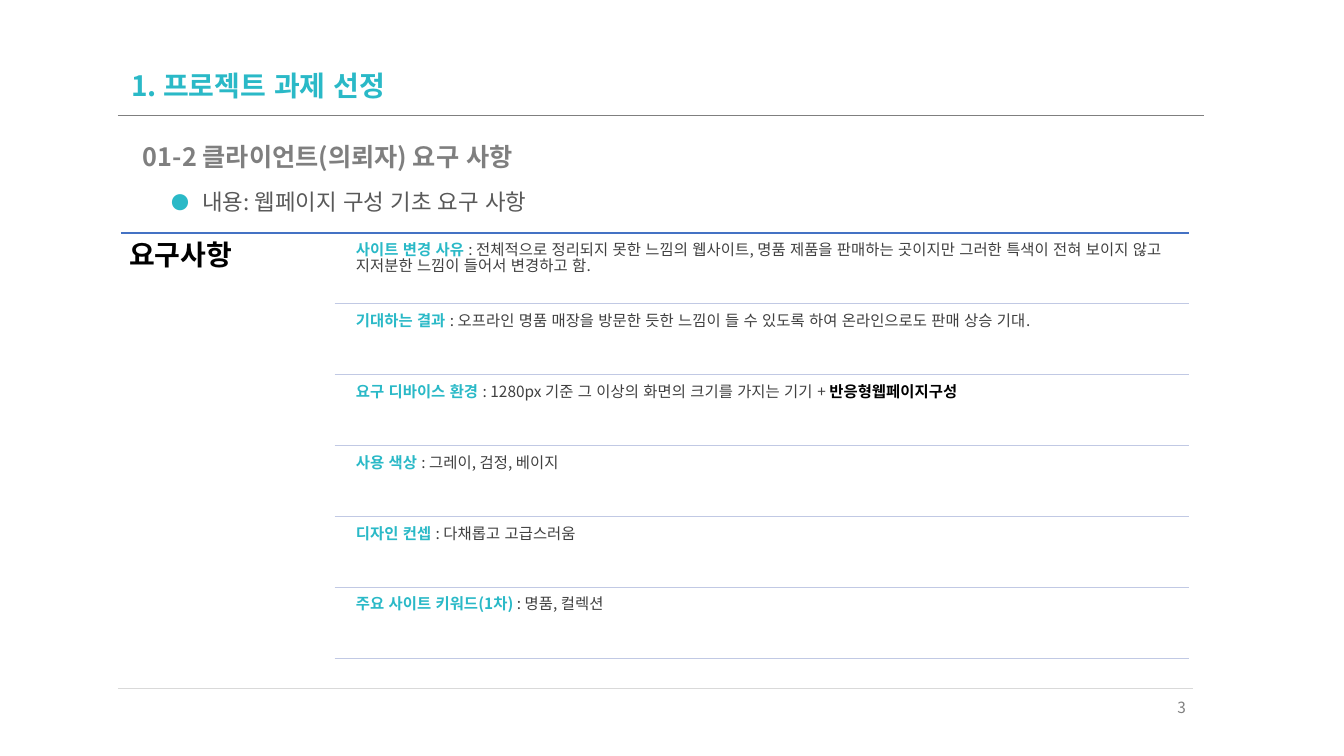
import pptx
import pptx.util
import pptx.dml.color
import pptx.enum.shapes
import pptx.enum.text
import pptx.enum.lang
import pptx.oxml.ns
from lxml import etree

FONT = "Noto Sans CJK KR"
COLORS = {"teal": "2AB9C7", "rule": "7F7F7F", "foot": "D9D9D9", "blue": "4472C4",
          "row": "C1C9E4", "gray": "7F7F7F", "body": "595959", "text": "404040",
          "black": "000000", "page": "808080"}
LEFT, LABEL_END, RIGHT = 1.2, 3.32, 11.79
TABLE_TOP, ROW_H = 2.31, 0.704
REQUIREMENTS = [
    ("사이트 변경 사유 ", ": 전체적으로 정리되지 못한 느낌의 웹사이트, 명품 제품을 판매하는 곳이지만 "
     "그러한 특색이 전혀 보이지 않고 지저분한 느낌이 들어서 변경하고 함.", ""),
    ("기대하는 결과 ", ": 오프라인 명품 매장을 방문한 듯한 느낌이 들 수 있도록 하여 "
     "온라인으로도 판매 상승 기대.", ""),
    ("요구 디바이스 환경 ", ": 1280px 기준 그 이상의 화면의 크기를 가지는 기기 + ", "반응형웹페이지구성"),
    ("사용 색상 ", ": 그레이, 검정, 베이지", ""),
    ("디자인 컨셉 ", ": 다채롭고 고급스러움", ""),
    ("주요 사이트 키워드(1차) ", ": 명품, 컬렉션", ""),
]


def color(name):
    """Return a named palette colour."""
    return pptx.dml.color.RGBColor.from_string(COLORS[name])


def add_sub(parent, tag, **attrs):
    """Append a DrawingML child element."""
    return etree.SubElement(parent, pptx.oxml.ns.qn(tag), attrs)


def add_rule(s, x1, x2, y, name, width):
    """Draw a horizontal rule."""
    c = s.shapes.add_connector(pptx.enum.shapes.MSO_CONNECTOR.STRAIGHT,
                               *map(pptx.util.Inches, (x1, y, x2, y)))
    c.line.color.rgb = color(name)
    c.line.width = pptx.util.Pt(width)
    add_sub(c._element.spPr, "a:effectLst")


def format_run(r, size, name, bold):
    """Set the font of a run for Latin and Korean text."""
    r.font.size = pptx.util.Pt(size)
    r.font.bold = bold
    r.font.color.rgb = color(name)
    r.font.name = FONT
    r.font.language_id = pptx.enum.lang.MSO_LANGUAGE_ID.KOREAN
    add_sub(r._r.get_or_add_rPr(), "a:ea", typeface=FONT)


def fill_text(sp, runs, size, inset=None, spacing=0.9):
    """Write one paragraph of (text, colour, bold) runs and return it."""
    tf = sp.text_frame
    tf.word_wrap = True
    tf.auto_size = pptx.enum.text.MSO_AUTO_SIZE.NONE
    if inset is not None:
        tf.margin_left = tf.margin_right = pptx.util.Inches(inset)
        tf.margin_top = tf.margin_bottom = pptx.util.Inches(inset)
    p = tf.paragraphs[0]
    p.line_spacing = spacing
    for text, name, bold in runs:
        r = p.add_run()
        r.text = text
        format_run(r, size, name, bold)
    return p


def add_text(s, box, runs, size, inset=None, spacing=0.9):
    """Add a text box and return its paragraph."""
    sp = s.shapes.add_textbox(*map(pptx.util.Inches, box))
    return fill_text(sp, runs, size, inset, spacing)


def add_title(s, box, text):
    """Place and format the title placeholder."""
    sp = s.shapes.title
    sp.left, sp.top, sp.width, sp.height = map(pptx.util.Inches, box)
    p = fill_text(sp, [(text, "teal", True)], 20)
    p.alignment = pptx.enum.text.PP_ALIGN.LEFT
    sp.text_frame.vertical_anchor = pptx.enum.text.MSO_ANCHOR.MIDDLE


def add_bullet(p, indent):
    """Give a paragraph a teal round bullet."""
    pPr = p._p.get_or_add_pPr()
    step = pptx.util.Inches(indent)
    pPr.set("marL", str(step))
    pPr.set("indent", str(-step))
    add_sub(add_sub(pPr, "a:buClr"), "a:srgbClr", val=COLORS["teal"])
    add_sub(pPr, "a:buSzPct", val="80000")
    add_sub(pPr, "a:buFont", typeface=FONT)
    add_sub(pPr, "a:buChar", char="●")


def add_requirements(s):
    """Lay out the label column and the ruled requirement rows."""
    add_rule(s, LEFT, RIGHT, TABLE_TOP, "blue", 1)
    add_text(s, (LEFT, TABLE_TOP, LABEL_END - LEFT, 4.28),
             [("요구사항", "black", True)], 20, 0.08)
    text_x = LABEL_END + 0.16
    for i, (label, detail, emphasis) in enumerate(REQUIREMENTS):
        top = TABLE_TOP + i * ROW_H
        runs = [(label, "teal", True), (detail, "text", False)]
        if emphasis:
            runs.append((emphasis, "black", True))
        add_text(s, (text_x, top + 0.04, RIGHT - text_x, 0.66), runs, 11, 0.05)
        add_rule(s, LABEL_END, RIGHT, top + ROW_H, "row", 1)


def main():
    """Build the client requirements slide."""
    prs = pptx.Presentation()
    prs.slide_width = pptx.util.Inches(13.33)
    prs.slide_height = pptx.util.Inches(7.5)
    s = prs.slides.add_slide(prs.slide_layouts[5])
    add_rule(s, 1.17, 11.94, 1.14, "rule", 0.5)
    add_rule(s, 1.17, 11.83, 6.83, "foot", 0.5)
    add_title(s, (LEFT, 0.62, 10.78, 0.49), "1. 프로젝트 과제 선정")
    p = add_text(s, (1.32, 1.39, 10.66, 0.34),
                 [("01-2 클라이언트(의뢰자) 요구 사항", "gray", True)], 18)
    p.space_before = pptx.util.Pt(10)
    p = add_text(s, (1.6, 1.85, 10.38, 0.34),
                 [("내용: 웹페이지 구성 기초 요구 사항", "body", False)], 16)
    p.space_before = pptx.util.Pt(10)
    add_bullet(p, 0.31)
    add_requirements(s)
    p = add_text(s, (11.27, 6.88, 0.59, 0.4), [("3", "page", False)], 11, spacing=1.0)
    p.alignment = pptx.enum.text.PP_ALIGN.RIGHT
    prs.save("out.pptx")


if __name__ == "__main__":
    main()
